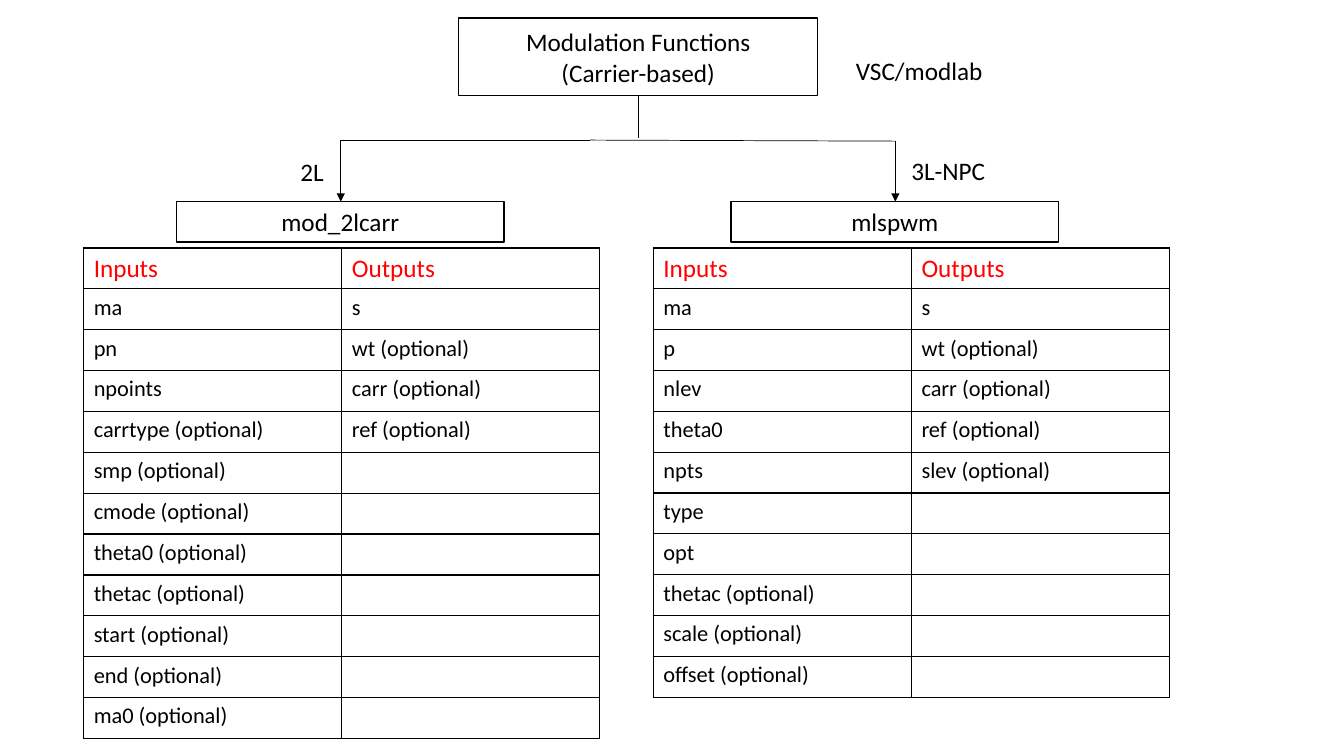
from itertools import zip_longest

from lxml import etree
from pptx import Presentation
from pptx.dml.color import RGBColor
from pptx.enum.shapes import MSO_CONNECTOR, MSO_SHAPE
from pptx.enum.text import MSO_ANCHOR, PP_ALIGN
from pptx.oxml.ns import qn
from pptx.util import Inches, Pt

RECT = MSO_SHAPE.RECTANGLE
LINE = MSO_CONNECTOR.STRAIGHT
LEFT, CENTER = PP_ALIGN.LEFT, PP_ALIGN.CENTER
MIDDLE = MSO_ANCHOR.MIDDLE
FONT = "Calibri"
COLORS = {"ink": "000000", "paper": "FFFFFF", "head": "FF0000"}
EDGES = ("a:lnL", "a:lnR", "a:lnT", "a:lnB")

LEFT_IN = ["ma", "pn", "npoints"] + [
    f"{name} (optional)" for name in
    ("carrtype", "smp", "cmode", "theta0", "thetac", "start", "end", "ma0")]
LEFT_OUT = ["s", "wt (optional)", "carr (optional)", "ref (optional)"]
RIGHT_IN = ["ma", "p", "nlev", "theta0", "npts", "type", "opt",
            "thetac (optional)", "scale (optional)", "offset (optional)"]
RIGHT_OUT = LEFT_OUT + ["slev (optional)"]


def color(name):
    return RGBColor.from_string(COLORS[name])


def write(frame, text, size=18, ink="ink", align=LEFT):
    for index, line in enumerate(text.split("\n")):
        para = frame.add_paragraph() if index else frame.paragraphs[0]
        para.alignment = align
        run = para.add_run()
        run.text = line
        run.font.name = FONT
        run.font.size = Pt(size)
        run.font.color.rgb = color(ink)


class Chart:
    def __init__(self, slide, stroke=1, thin=0.5):
        self.slide = slide
        self.stroke = stroke
        self.thin = thin

    def box(self, text, *area):
        shape = self.slide.shapes.add_shape(RECT, *map(Inches, area))
        shape.shadow.inherit = False
        shape.fill.solid()
        shape.fill.fore_color.rgb = color("paper")
        shape.line.color.rgb = color("ink")
        shape.line.width = Pt(self.stroke)
        shape.text_frame.vertical_anchor = MIDDLE
        write(shape.text_frame, text, align=CENTER)

    def label(self, text, *area):
        frame = self.slide.shapes.add_textbox(*map(Inches, area)).text_frame
        frame.word_wrap = True
        write(frame, text)

    def link(self, *ends, arrow=False):
        link = self.slide.shapes.add_connector(LINE, *map(Inches, ends))
        link.line.color.rgb = color("ink")
        link.line.width = Pt(self.thin)
        props = link._element.spPr
        if arrow:
            etree.SubElement(props.find(qn("a:ln")), qn("a:tailEnd"),
                             type="triangle")
        etree.SubElement(props, qn("a:effectLst"))

    def border(self, cell):
        props = cell._tc.get_or_add_tcPr()
        for place, edge in enumerate(EDGES):
            line = etree.Element(qn(edge), w=str(Pt(self.stroke)))
            fill = etree.SubElement(line, qn("a:solidFill"))
            etree.SubElement(fill, qn("a:srgbClr"), val=COLORS["ink"])
            props.insert(place, line)

    def table(self, ins, outs, *area):
        rows = [("Inputs", "Outputs"), *zip_longest(ins, outs, fillvalue="")]
        table = self.slide.shapes.add_table(
            len(rows), 2, *map(Inches, area)).table
        table.first_row = table.horz_banding = False
        for row, texts in enumerate(rows):
            for col, text in enumerate(texts):
                cell = table.cell(row, col)
                cell.fill.background()
                self.border(cell)
                if text:
                    write(cell.text_frame, text, size=16 if row else 18,
                          ink="ink" if row else "head")


def main():
    deck = Presentation()
    deck.slide_width, deck.slide_height = Inches(13.33), Inches(7.5)
    chart = Chart(deck.slides.add_slide(deck.slide_layouts[6]))

    chart.box("Modulation Functions\n(Carrier-based)", 4.55, 0.18, 3.56, 0.77)
    chart.label("VSC/modlab", 8.39, 0.5, 1.94, 0.4)
    chart.link(6.33, 0.95, 6.33, 1.37)
    chart.link(5.85, 1.39, 3.38, 1.39)
    chart.link(8.88, 1.4, 5.85, 1.39)
    chart.link(3.38, 1.39, 3.38, 2, arrow=True)
    chart.link(8.88, 1.4, 8.88, 2, arrow=True)
    chart.label("2L", 2.88, 1.5, 1.17, 0.4)
    chart.label("3L-NPC", 8.94, 1.49, 1.17, 0.4)
    chart.box("mod_2lcarr", 1.75, 2, 3.25, 0.4)
    chart.box("mlspwm", 7.25, 2, 3.25, 0.4)
    chart.table(LEFT_IN, LEFT_OUT, 0.83, 2.46, 5.12, 4.87)
    chart.table(RIGHT_IN, RIGHT_OUT, 6.48, 2.46, 5.12, 4.46)
    deck.save("out.pptx")


if __name__ == "__main__":
    main()
